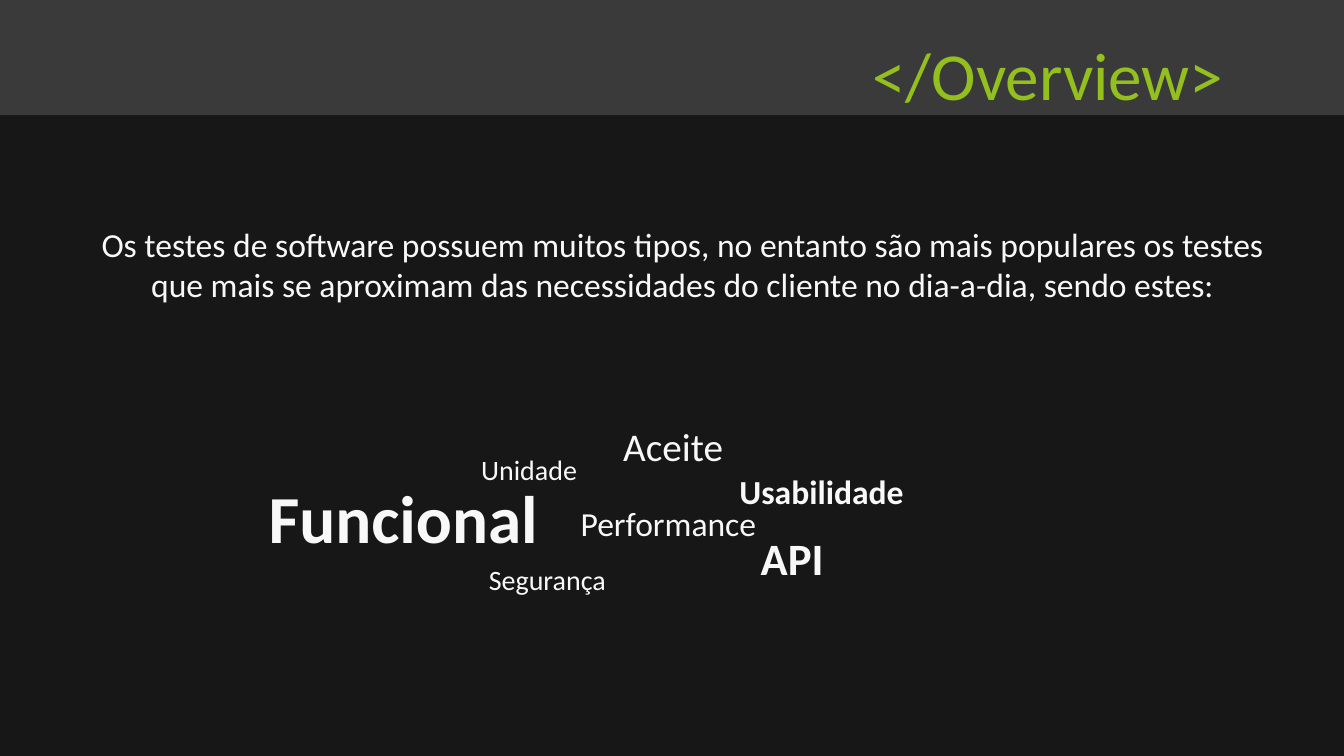
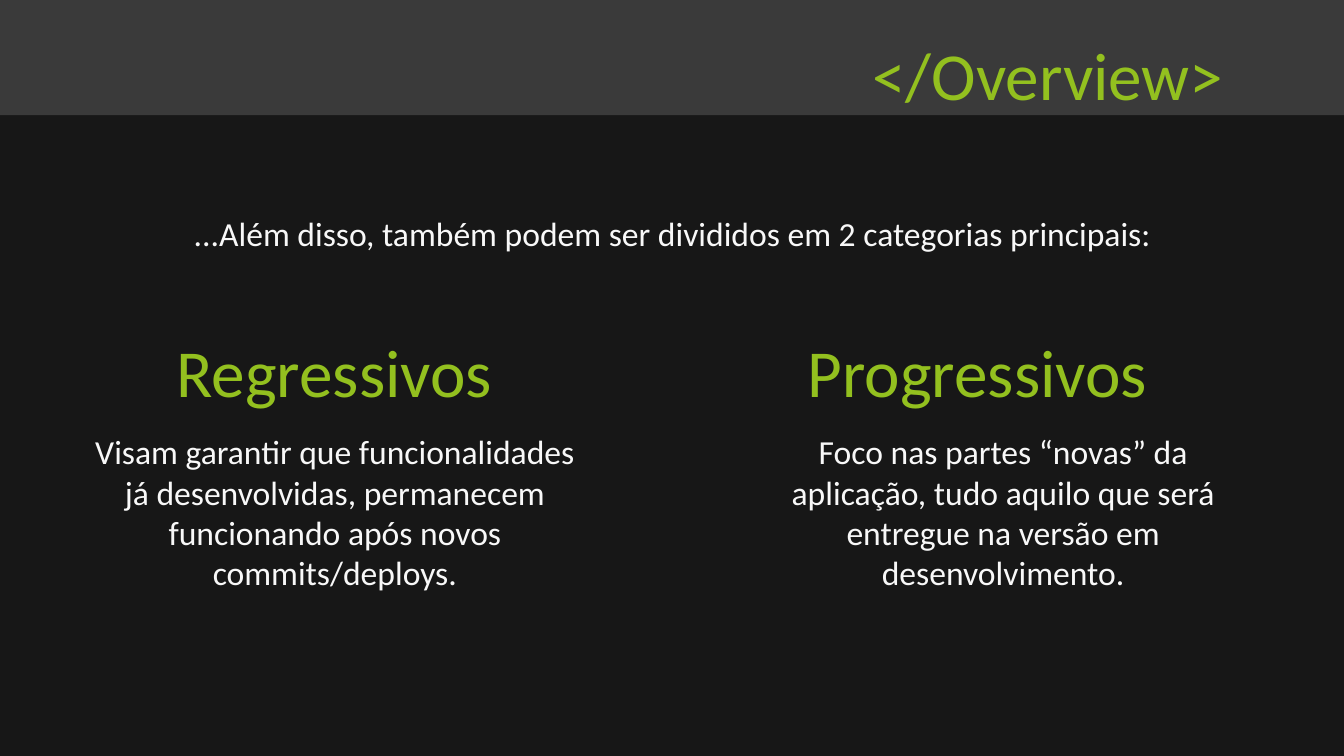
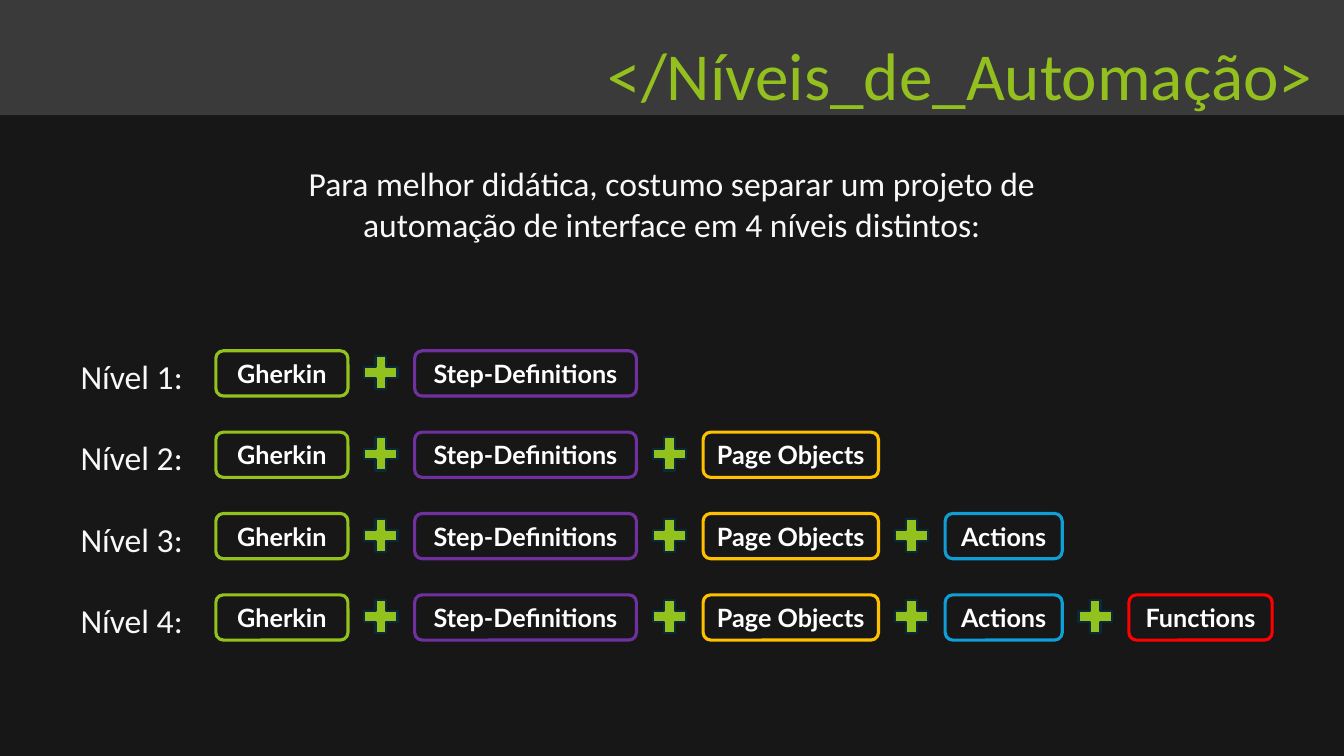
from pptx import Presentation
from pptx.dml.color import RGBColor
from pptx.enum.shapes import MSO_SHAPE as SHAPE
from pptx.enum.text import MSO_ANCHOR as ANCHOR, MSO_AUTO_SIZE as AUTO_SIZE, PP_ALIGN as ALIGN
from pptx.util import Cm, Pt

COLORS = {
    "background": "171717",
    "band": "3A3A3A",
    "accent": "93C01F",
    "text": "F8F8F8",
    "chip_text": "FFFFFF",
    "plus_line": "092A39",
    "green": "93C11E",
    "purple": "7030A0",
    "yellow": "FFC000",
    "blue": "0F9ED5",
    "red": "FF0000",
}
BODY_FONT, CHIP_FONT = "Calibri", "Lato"
HEADING_LINE = Pt(95.2)

# Label, outline colour, width in cm; level n uses the first n + 1 chips
CHIPS = [
    ("Gherkin", "green", 3.33),
    ("Step-Definitions", "purple", 5.59),
    ("Page Objects", "yellow", 4.42),
    ("Actions", "blue", 2.95),
    ("Functions", "red", 3.61),
]
CHIP_LEFT, CHIP_HEIGHT, CHIP_GAP = 5.44, 1.14, 1.68
PLUS_SIZE, PLUS_OFFSET = 1.14, 1.42
LEVEL_TOP, LEVEL_PITCH, LEVEL_COUNT = 8.84, 2.05, 4


def rgb(name):
    return RGBColor.from_string(COLORS[name])


def write(tf, text, size, color="text", bold=False, font=BODY_FONT, align=ALIGN.CENTER):
    tf.word_wrap = True
    p = tf.paragraphs[0]
    p.alignment = align
    r = p.add_run()
    r.text = text
    r.font.name = font
    r.font.size = Pt(size)
    r.font.bold = bold
    r.font.color.rgb = rgb(color)
    return p


def add_text(s, text, left, top, width, height, size=24, **style):
    sp = s.shapes.add_textbox(Cm(left), Cm(top), Cm(width), Cm(height))
    return write(sp.text_frame, text, size, **style)


def add_box(s, shape, left, top, width, height, fill, line=None, line_width=0):
    sp = s.shapes.add_shape(shape, Cm(left), Cm(top), Cm(width), Cm(height))
    sp.shadow.inherit = False
    sp.fill.solid()
    sp.fill.fore_color.rgb = rgb(fill)
    if line:
        sp.line.color.rgb = rgb(line)
        sp.line.width = Pt(line_width)
    else:
        sp.line.fill.background()
    return sp


def add_heading(s, text, left):
    p = add_text(s, text, left, 6.88, 14.88, 3.25, size=48, color="accent")
    p.line_spacing = HEADING_LINE


def add_chip(s, label, color, left, top, width):
    sp = add_box(s, SHAPE.ROUNDED_RECTANGLE, left, top, width, CHIP_HEIGHT,
                 "background", color, 2.25)
    sp.text_frame.vertical_anchor = ANCHOR.MIDDLE
    write(sp.text_frame, label, 18, "chip_text", bold=True, font=CHIP_FONT)


def add_level(s, level):
    """Draw one labelled row of chips joined by plus signs."""
    top = LEVEL_TOP + (level - 1) * LEVEL_PITCH
    add_text(s, f"Nível {level}:", 1.78, top, 3.6, 1.27, align=ALIGN.LEFT)
    left = CHIP_LEFT
    for i, (label, color, width) in enumerate(CHIPS[:level + 1]):
        if i:
            add_box(s, SHAPE.MATH_PLUS, left - PLUS_OFFSET, top - 0.02, PLUS_SIZE, PLUS_SIZE,
                    "green", "plus_line", 1.5)
        add_chip(s, label, color, left, top, width)
        left += width + CHIP_GAP


def style_layout(prs, layout):
    """Give the layout its dark background and the band behind the titles."""
    fill = layout.background.fill
    fill.solid()
    fill.fore_color.rgb = rgb("background")
    s = prs.slides[0]
    band = add_box(s, SHAPE.RECTANGLE, 0, 0, 33.87, 2.9, "band")
    layout.shapes.element.append(band.element)


def add_slide(prs, layout, title, left=18.97, width=14.88):
    s = prs.slides.add_slide(layout)
    sp = s.shapes.title
    sp.left, sp.top, sp.width, sp.height = Cm(left), Cm(-0.61), Cm(width), Cm(3.3)
    tf = sp.text_frame
    tf.auto_size = AUTO_SIZE.NONE
    tf.vertical_anchor = ANCHOR.TOP
    write(tf, title, 48, "accent").line_spacing = HEADING_LINE
    return s


def build_test_types(s):
    add_text(s, "Os testes de software possuem muitos tipos, no entanto são mais populares "
             "os testes que mais se aproximam das necessidades do cliente no dia-a-dia, "
             "sendo estes:", 1.78, 5.51, 30.84, 3.07)
    for word, left, top, width, height, size, bold in [
        ("Funcional", 6.48, 11.89, 7.37, 2.31, 48, True),
        ("Aceite", 14.73, 10.52, 4.47, 1.45, 28, False),
        ("Unidade", 11.1, 11.28, 4.47, 1.12, 20, False),
        ("API", 17.73, 13.26, 4.47, 1.63, 32, True),
        ("Usabilidade", 17.58, 11.73, 6.25, 1.27, 24, True),
        ("Performance", 13.72, 12.55, 6.25, 1.27, 24, False),
        ("Segurança", 10.67, 14.05, 6.25, 1.12, 20, False),
    ]:
        add_text(s, word, left, top, width, height, size=size, bold=bold)


def build_categories(s):
    add_text(s, "...Além disso, também podem ser divididos em 2 categorias principais:",
             1.52, 5.23, 30.84, 2.06)
    for heading, heading_left, text, text_left in [
        ("Regressivos", 0.99, "Visam garantir que funcionalidades já desenvolvidas, "
         "permanecem funcionando após novos commits/deploys.", 2.13),
        ("Progressivos", 17.2, "Foco nas partes “novas” da aplicação, tudo aquilo que será "
         "entregue na versão em desenvolvimento.", 18.97),
    ]:
        add_heading(s, heading, heading_left)
        add_text(s, text, text_left, 10.74, 12.62, 4.37)


def build_levels(s):
    add_text(s, "Para melhor didática, costumo separar um projeto de automação de interface "
             "em 4 níveis distintos:", 5.54, 3.99, 22.78, 3.07)
    for level in range(1, LEVEL_COUNT + 1):
        add_level(s, level)


def main():
    prs = Presentation()
    prs.slide_width, prs.slide_height = Cm(33.87), Cm(19.05)
    layout = prs.slide_layouts[5]
    build_test_types(add_slide(prs, layout, "</Overview>"))
    build_categories(add_slide(prs, layout, "</Overview>"))
    build_levels(add_slide(prs, layout, "</Níveis_de_Automação>", 14.53, 19.33))
    style_layout(prs, layout)
    prs.save("out.pptx")


if __name__ == "__main__":
    main()
